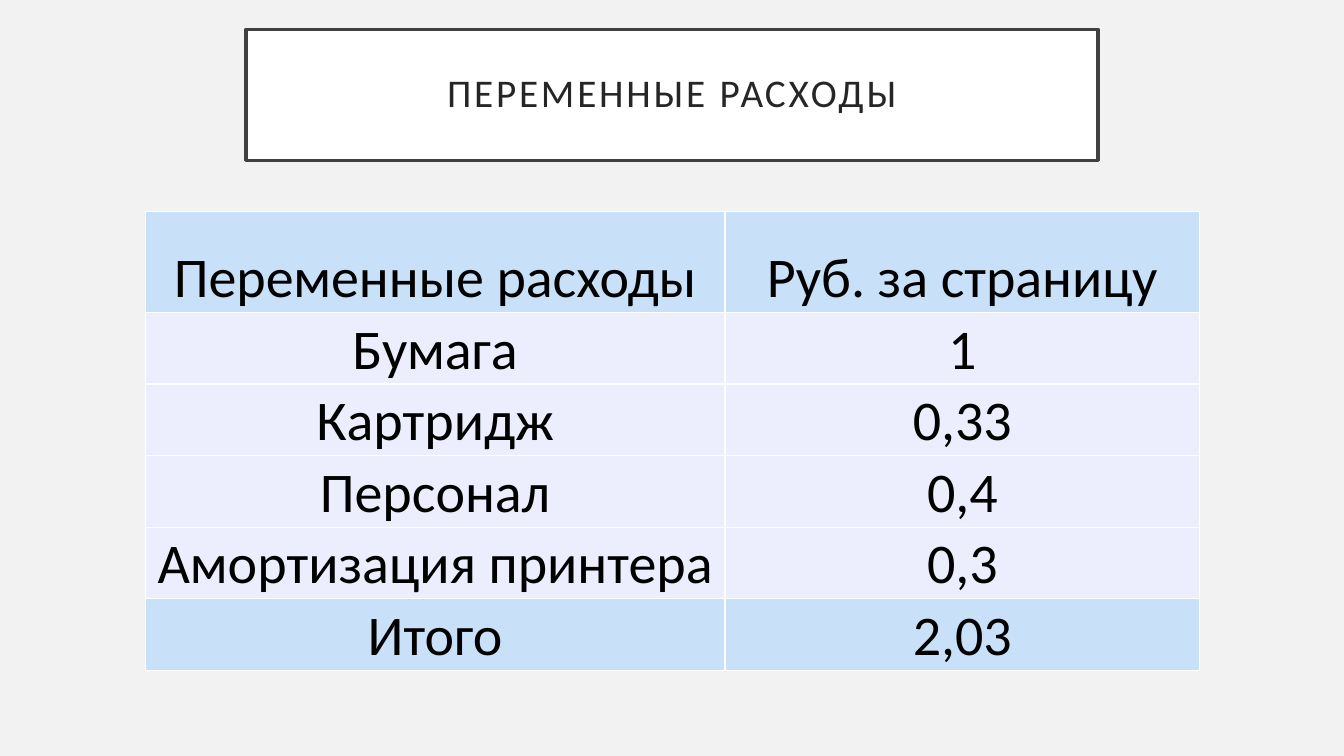
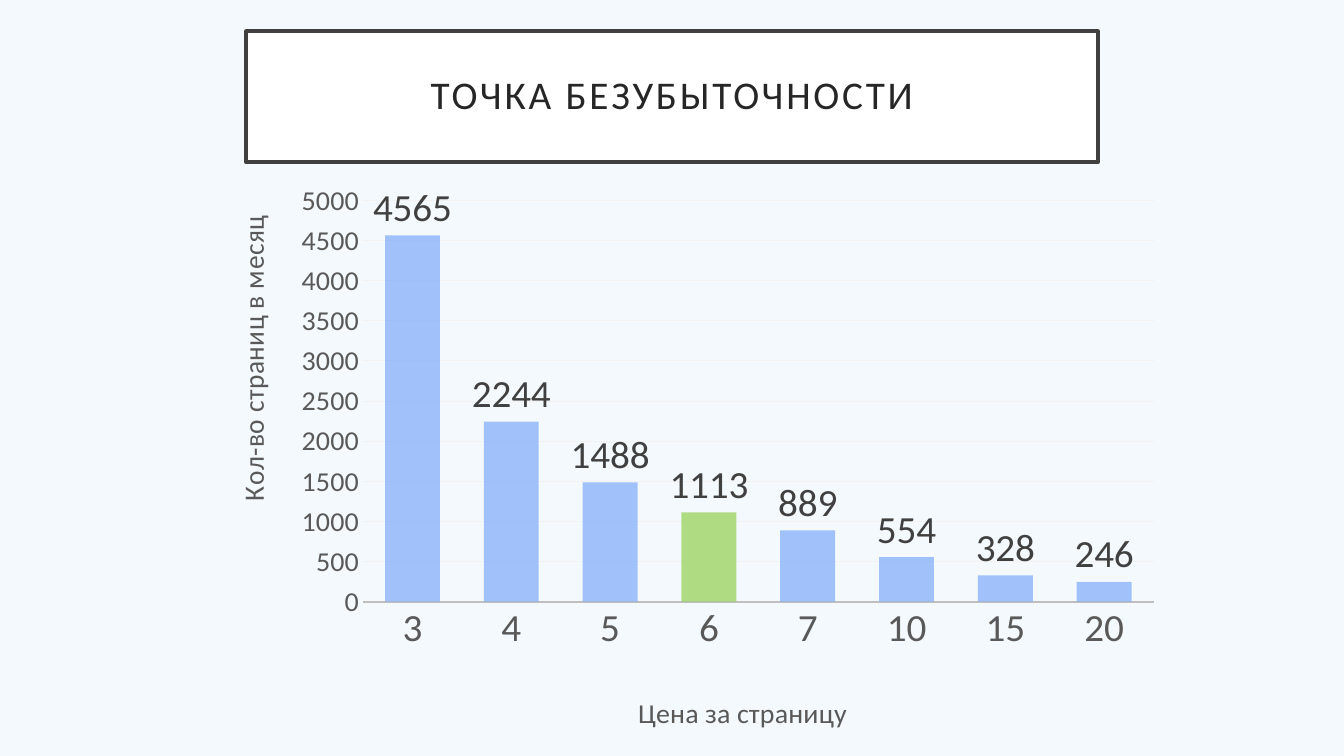
from lxml import etree
from pptx import Presentation
from pptx.chart.data import CategoryChartData
from pptx.dml.color import RGBColor
from pptx.enum.chart import XL_CHART_TYPE, XL_LABEL_POSITION, XL_TICK_MARK
from pptx.enum.text import MSO_ANCHOR, MSO_AUTO_SIZE, PP_ALIGN
from pptx.oxml.ns import qn
from pptx.util import Pt

COLUMN = XL_CHART_TYPE.COLUMN_CLUSTERED
OUTSIDE = XL_LABEL_POSITION.OUTSIDE_END
NO_TICK = XL_TICK_MARK.NONE
MIDDLE, BOTTOM = MSO_ANCHOR.MIDDLE, MSO_ANCHOR.BOTTOM
CENTER = PP_ALIGN.CENTER
EMU = 9144  # 100 px to the inch


class Theme:
    face = "Calibri"
    gray, sky = "F2F2F2", "F4F9FE"
    white, frame, ink, black = "FFFFFF", "404040", "262626", "000000"
    head, body = "C8E1F8", "ECEEFE"
    bar, mark, label = "7EAAFA", "92D050", "404040"
    axis, base, grid = "595959", "BFBFBF", "F2F2F2"
    title, cell, large, small = 28, 40, 28, 20


ROWS = [
    ("Переменные расходы", "Руб. за страницу"),
    ("Бумага", "1"),
    ("Картридж", "0,33"),
    ("Персонал", "0,4"),
    ("Амортизация принтера", "0,3"),
    ("Итого", "2,03"),
]
SALES = {"3": 4565, "4": 2244, "5": 1488, "6": 1113,
         "7": 889, "10": 554, "15": 328, "20": 246}
BREAK = "6"


def px(*nums):
    return [n * EMU for n in nums]


def paint(fill, color):
    fill.solid()
    fill.fore_color.rgb = RGBColor.from_string(color)


def stroke(line, color, width):
    paint(line.fill, color)
    line.width = Pt(width)


def style(font, size, color):
    font.name, font.size, font.bold = Theme.face, Pt(size), False
    font.color.rgb = RGBColor.from_string(color)


def write(frame, text, size, color):
    par = frame.paragraphs[0]
    par.alignment = CENTER
    run = par.add_run()
    run.text = text
    style(run.font, size, color)
    return par, run


def add_slide(deck, back, text, top):
    """Add a slide with a background and a framed title."""
    slide = deck.slides.add_slide(deck.slide_layouts[5])
    paint(slide.background.fill, back)
    title = slide.shapes.title
    title.left, title.top, title.width, title.height = px(244, top, 845, 130)
    paint(title.fill, Theme.white)
    stroke(title.line, Theme.frame, 2.5)
    frame = title.text_frame
    frame.auto_size = MSO_AUTO_SIZE.NONE
    frame.word_wrap = True
    frame.vertical_anchor = MIDDLE
    frame.margin_left = frame.margin_right = 20 * EMU
    frame.margin_top = frame.margin_bottom = 20 * EMU
    par, run = write(frame, text, Theme.title, Theme.ink)
    par.line_spacing = 0.9
    run.font._element.set("spc", "200")
    return slide


def edge(cell, color, width):
    """Draw all four borders of a cell."""
    props = cell._tc.get_or_add_tcPr()
    for spot, side in enumerate(("lnL", "lnR", "lnT", "lnB")):
        line = etree.Element(qn("a:" + side), w=str(Pt(width)))
        fill = etree.SubElement(line, qn("a:solidFill"))
        etree.SubElement(fill, qn("a:srgbClr"), val=color)
        props.insert(spot, line)


def add_costs(slide):
    wide, tall = px(575, 471), px(100, *[71] * 5)
    table = slide.shapes.add_table(
        len(ROWS), 2, *px(144, 210), sum(wide), sum(tall)).table
    for col, width in zip(table.columns, wide):
        col.width = width
    for row, height in zip(table.rows, tall):
        row.height = height
    for r, texts in enumerate(ROWS):
        color = Theme.head if r in (0, len(ROWS) - 1) else Theme.body
        for c, text in enumerate(texts):
            cell = table.cell(r, c)
            paint(cell.fill, color)
            edge(cell, Theme.white, 1)
            cell.vertical_anchor = BOTTOM
            cell.margin_left = cell.margin_right = cell.margin_top = EMU
            cell.margin_bottom = 0
            write(cell.text_frame, text, Theme.cell, Theme.black)


def place(node, spot, **sizes):
    """Give a chart part a manual layout in shares of the chart."""
    for old in node.findall(qn("c:layout")):
        node.remove(old)
    layout = etree.Element(qn("c:layout"))
    manual = etree.SubElement(layout, qn("c:manualLayout"))
    if "w" in sizes:
        etree.SubElement(manual, qn("c:layoutTarget"), val="inner")
    for key in ("x", "y"):
        etree.SubElement(manual, qn(f"c:{key}Mode"), val="edge")
    for key, val in sizes.items():
        etree.SubElement(manual, qn("c:" + key), val=str(val))
    node.insert(spot, layout)


def tint(fill, color, share):
    """Fill with a colour of the given opacity in percent."""
    paint(fill, color)
    tone = fill._xPr.find(".//" + qn("a:srgbClr"))
    etree.SubElement(tone, qn("a:alpha"), val=str(share * 1000))


def set_axis(axis, text, size, x, y, turn=0):
    axis.major_tick_mark = axis.minor_tick_mark = NO_TICK
    style(axis.tick_labels.font, size, Theme.axis)
    frame = axis.axis_title.text_frame
    write(frame, text, Theme.small, Theme.axis)
    body = frame._txBody.bodyPr
    body.set("rot", str(turn * 60000))
    body.set("vert", "horz")
    place(axis.axis_title._element, 1, x=x, y=y)


def add_sales(slide):
    data = CategoryChartData()
    data.categories = list(SALES)
    data.add_series("Кол-во страниц в месяц", list(SALES.values()))
    chart = slide.shapes.add_chart(COLUMN, *px(188, 182, 957, 551), data).chart
    chart.has_title = chart.has_legend = False
    style(chart.font, Theme.small, Theme.black)

    cat, val = chart.category_axis, chart.value_axis
    set_axis(cat, "Цена за страницу", Theme.large, 0.46, 0.93)
    set_axis(val, "Кол-во страниц в месяц", Theme.small, 0.04, 0.06, -90)
    stroke(cat.format.line, Theme.base, 1.25)
    val.format.line.fill.background()
    val.minimum_scale, val.maximum_scale, val.major_unit = 0, 5000, 500
    stroke(val.major_gridlines.format.line, Theme.grid, 0.75)

    plot = chart.plots[0]
    plot.gap_width, plot.overlap = 80, 25
    plot.vary_by_categories = False
    bars = plot.series[0]
    bars.invert_if_negative = False
    tint(bars.format.fill, Theme.bar, 70)
    best = bars.points[list(SALES).index(BREAK)]
    tint(best.format.fill, Theme.mark, 70)
    labels = bars.data_labels
    labels.show_value = True
    labels.position = OUTSIDE
    style(labels.font, Theme.large, Theme.label)
    area = chart._chartSpace.find(".//" + qn("c:plotArea"))
    place(area, 0, x=0.18, y=0.03, w=0.82, h=0.74)


def main():
    deck = Presentation()
    deck.slide_width, deck.slide_height = px(1333, 750)
    add_costs(add_slide(deck, Theme.gray, "ПЕРЕМЕННЫЕ РАСХОДЫ", 29))
    add_sales(add_slide(deck, Theme.sky, "ТОЧКА БЕЗУБЫТОЧНОСТИ", 31))
    deck.save("out.pptx")


if __name__ == "__main__":
    main()
